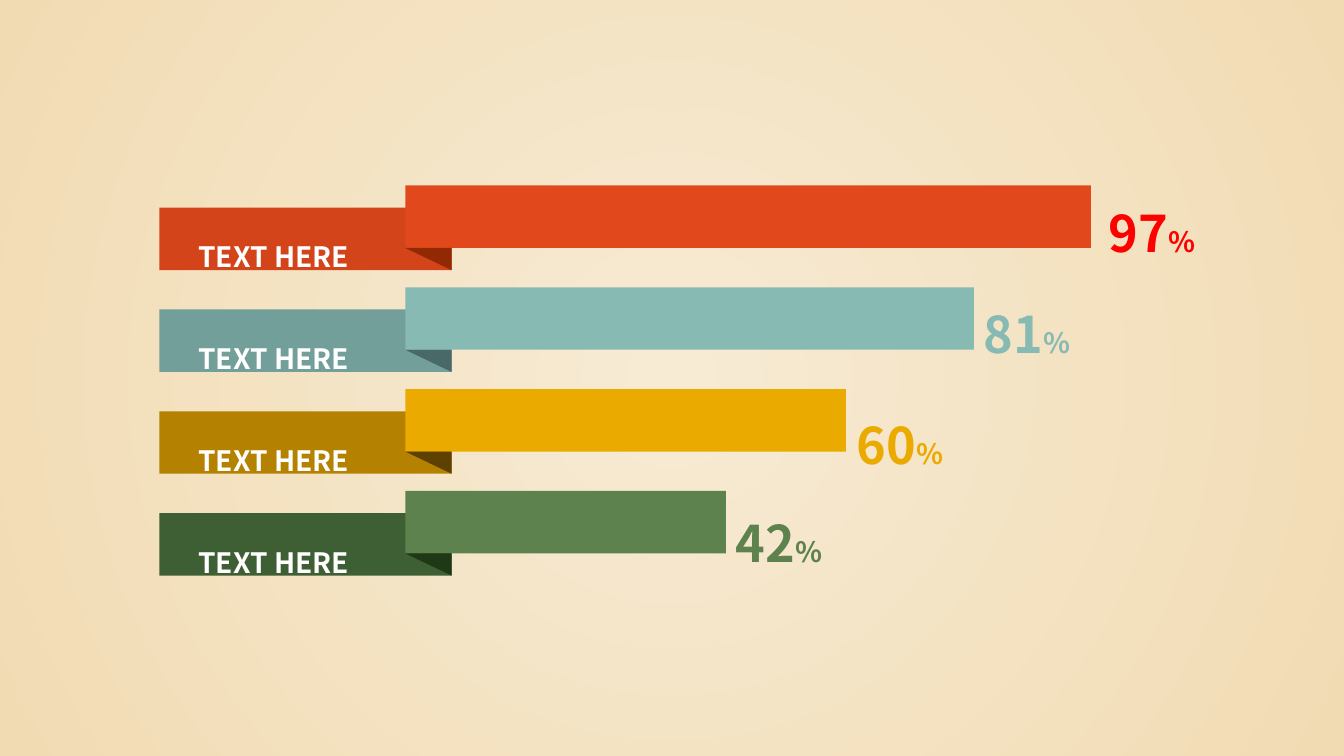
from dataclasses import dataclass

from lxml import etree
from pptx import Presentation
from pptx.dml.color import RGBColor
from pptx.enum.shapes import MSO_SHAPE as Shape
from pptx.enum.text import MSO_AUTO_SIZE as AutoSize
from pptx.oxml.ns import qn
from pptx.util import Inches, Pt

FONT = "Noto Sans CJK SC"
RIBBON_LEFT, RIBBON_TOP, ROW_STEP = 1.58, 1.84, 1.01
TAB_WIDTH, BAND_HEIGHT = 2.9, 0.62
BAR_INDENT, TAB_DROP = 2.44, 0.22


@dataclass
class Ribbon:
    percent: int
    bar_width: float
    value_left: float
    value_top: float
    tab_color: str
    bar_color: str
    fold_color: str
    value_color: str


RIBBONS = [
    Ribbon(97, 6.8, 10.9, 1.65, "D3441A", "E1491D", "912902", "FF0000"),
    Ribbon(81, 5.64, 9.66, 2.66, "739F9A", "88BAB4", "486967", "88BAB4"),
    Ribbon(60, 4.37, 8.4, 3.76, "B48200", "EBAA00", "5E4000", "EBAA00"),
    Ribbon(42, 3.18, 7.2, 4.73, "3E5F33", "5D824D", "1F3916", "5D824D"),
]


def rgb(color):
    return RGBColor.from_string(color)


def paint(shape, color):
    shape.fill.solid()
    shape.fill.fore_color.rgb = rgb(color)
    shape.line.fill.background()
    shape.shadow.inherit = False


def set_radial_background(page, center_color, edge_color):
    fill = page.background.fill
    fill.gradient()
    for stop, position, color in zip(fill.gradient_stops, (0, 1), (center_color, edge_color)):
        stop.position = position
        stop.color.rgb = rgb(color)
    gradient = page.background._cSld.find(".//" + qn("a:gradFill"))
    gradient.remove(gradient.find(qn("a:lin")))
    circle = etree.Element(qn("a:path"), {"path": "circle"})
    etree.SubElement(circle, qn("a:fillToRect"), dict.fromkeys("ltrb", "50000"))
    gradient.find(qn("a:gsLst")).addnext(circle)


def add_band(shapes, left, top, width, color):
    band = shapes.add_shape(Shape.RECTANGLE, Inches(left), Inches(top),
                            Inches(width), Inches(BAND_HEIGHT))
    paint(band, color)


def add_ribbon(page, left, top, ribbon):
    """Draw a tab, the bar in front of it and the fold joining them."""
    shapes = page.shapes.add_group_shape().shapes
    bar_left, fold_top = left + BAR_INDENT, top + BAND_HEIGHT
    tab_right = left + TAB_WIDTH
    add_band(shapes, left, top + TAB_DROP, TAB_WIDTH, ribbon.tab_color)
    add_band(shapes, bar_left, top, ribbon.bar_width, ribbon.bar_color)
    outline = shapes.build_freeform(Inches(tab_right), Inches(fold_top + TAB_DROP))
    outline.add_line_segments([(Inches(tab_right), Inches(fold_top)),
                               (Inches(bar_left), Inches(fold_top))])
    paint(outline.convert_to_shape(), ribbon.fold_color)


def add_text(page, left, top, height, color, spans):
    box = page.shapes.add_textbox(Inches(left), Inches(top), Inches(1.85), Inches(height))
    frame = box.text_frame
    frame.word_wrap = True
    frame.auto_size = AutoSize.SHAPE_TO_FIT_TEXT
    para = frame.paragraphs[0]
    para.line_spacing = Pt(65)
    for text, size in spans:
        span = para.add_run()
        span.text = text
        span.font.name = FONT
        span.font.size = Pt(size)
        span.font.bold = True
        span.font.color.rgb = rgb(color)


def add_ribbon_chart(page, left, top):
    for row, ribbon in enumerate(RIBBONS):
        add_ribbon(page, left, top + row * ROW_STEP, ribbon)
    for row in range(len(RIBBONS)):
        add_text(page, left + 0.29, top - 0.08 + row * ROW_STEP, 0.85,
                 "FFFFFF", [("TEXT HERE", 20)])
    for ribbon in RIBBONS:
        add_text(page, ribbon.value_left, ribbon.value_top, 0.9, ribbon.value_color,
                 [(str(ribbon.percent), 36), ("%", 20)])


def main():
    deck = Presentation()
    deck.slide_width, deck.slide_height = Inches(13.33), Inches(7.5)
    page = deck.slides.add_slide(deck.slide_layouts[6])
    set_radial_background(page, "F7EBD4", "F1DBB3")
    add_ribbon_chart(page, RIBBON_LEFT, RIBBON_TOP)
    deck.save("out.pptx")


if __name__ == "__main__":
    main()
